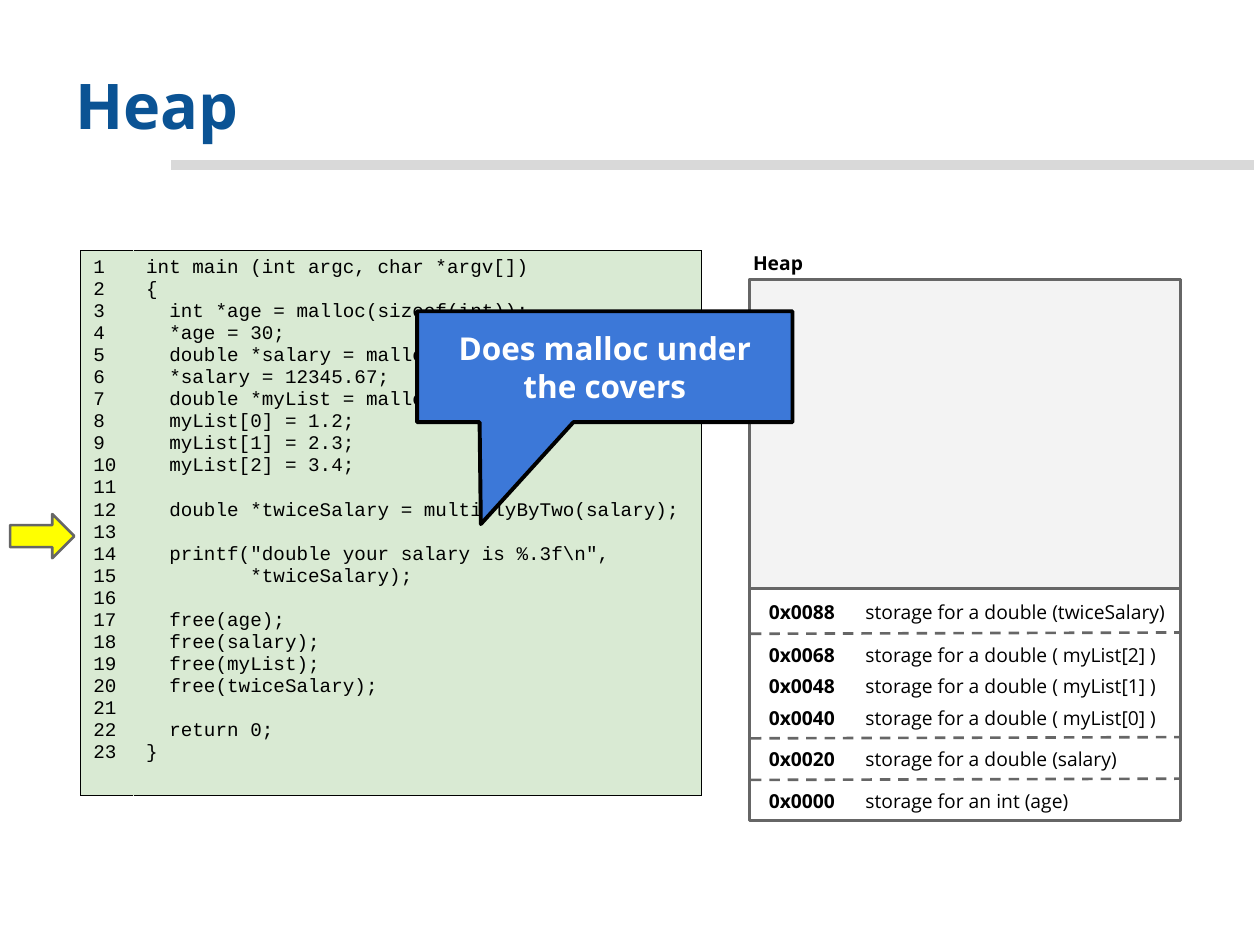
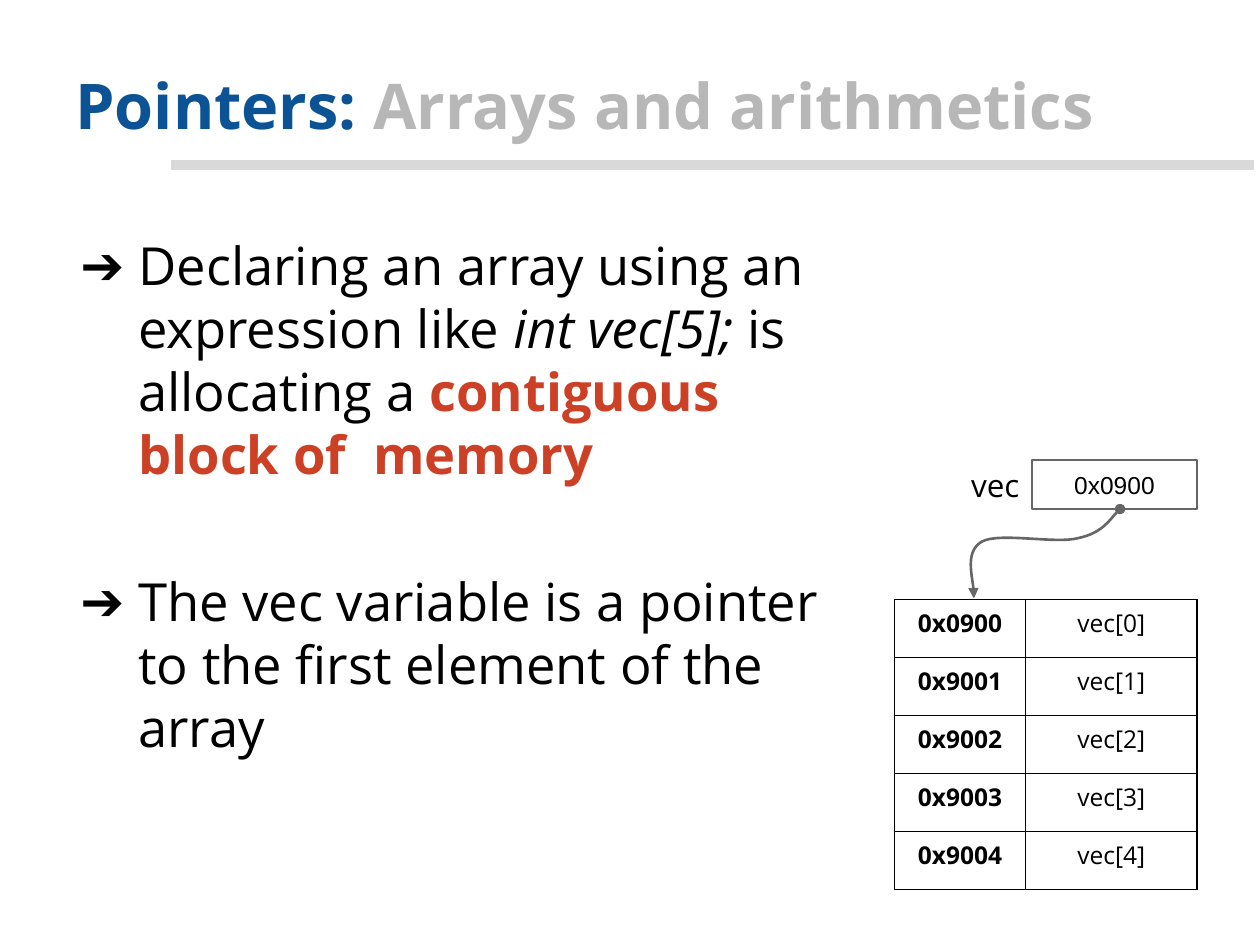
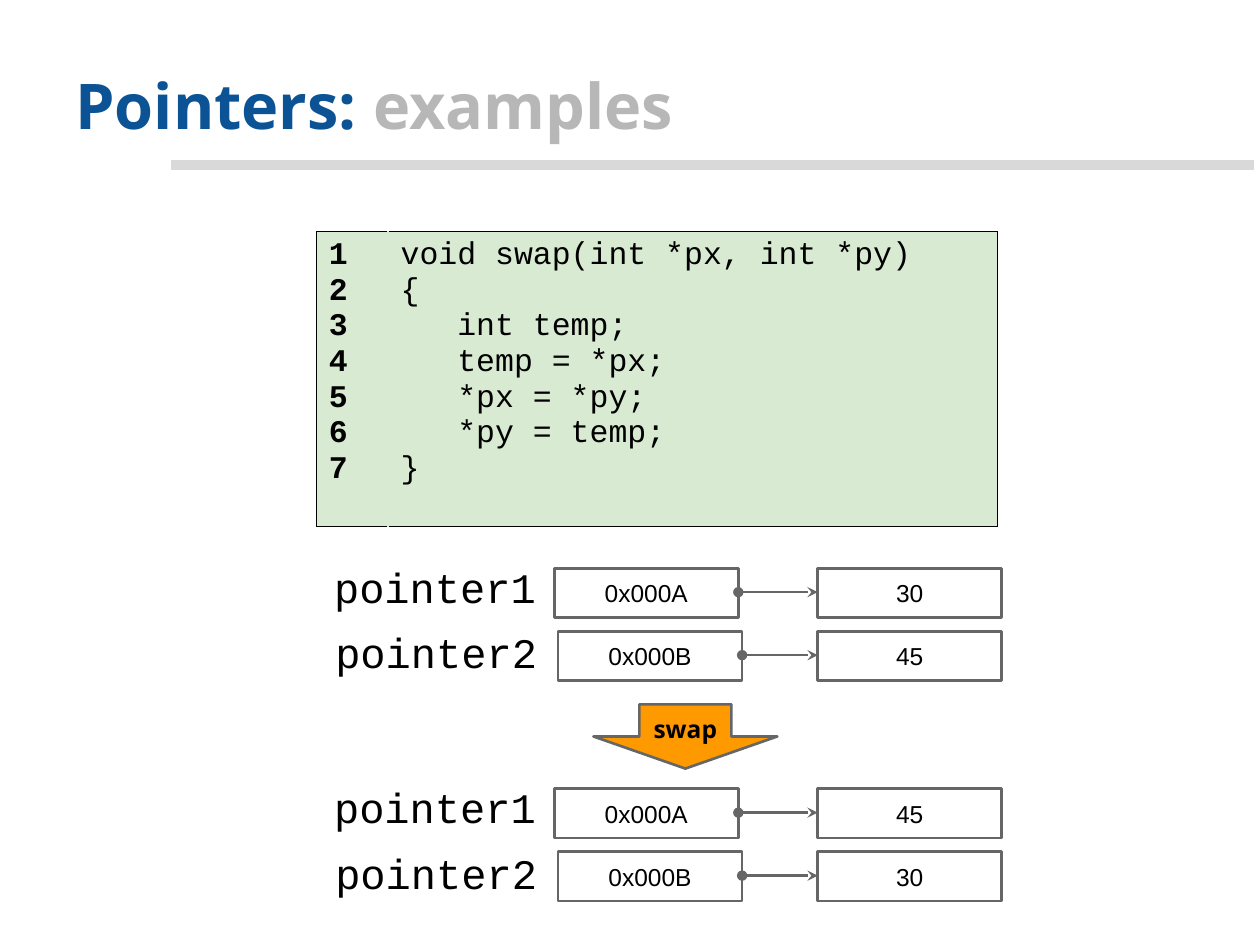
"""Build three slides on the heap, arrays and pointers in C."""
from copy import deepcopy

from lxml import etree
from pptx import Presentation
from pptx.dml.color import RGBColor
from pptx.enum.dml import MSO_LINE
from pptx.enum.shapes import MSO_CONNECTOR, MSO_SHAPE
from pptx.enum.text import MSO_ANCHOR, PP_ALIGN
from pptx.oxml.ns import qn
from pptx.util import Inches, Pt

LEFT, CENTER, RIGHT = PP_ALIGN.LEFT, PP_ALIGN.CENTER, PP_ALIGN.RIGHT
TOP, MIDDLE, BOTTOM = MSO_ANCHOR.TOP, MSO_ANCHOR.MIDDLE, MSO_ANCHOR.BOTTOM
STRAIGHT, CURVE = MSO_CONNECTOR.STRAIGHT, MSO_CONNECTOR.CURVE
DASH = MSO_LINE.DASH
RECTANGLE = MSO_SHAPE.RECTANGLE
RIGHT_ARROW, DOWN_ARROW = MSO_SHAPE.RIGHT_ARROW, MSO_SHAPE.DOWN_ARROW
CALLOUT = MSO_SHAPE.ROUNDED_RECTANGULAR_CALLOUT

COLORS = {
    "black": "000000", "white": "FFFFFF", "title": "0B5394", "subtitle": "B7B7B7",
    "band": "D9D9D9", "code": "D9EAD3", "outline": "666666", "free": "F3F3F3",
    "pointer": "FFFF00", "callout": "3C78D8", "accent": "CC4125", "swap": "FF9900",
}
SANS, MONO, PLAIN = "Open Sans", "Courier New", "Arial"
INSET = Inches(0.1)

HEAP_CODE = r"""int main (int argc, char *argv[])
{
  int *age = malloc(sizeof(int));
  *age = 30;
  double *salary = malloc(sizeof(double));
  *salary = 12345.67;
  double *myList = malloc(3 * sizeof(double));
  myList[0] = 1.2;
  myList[1] = 2.3;
  myList[2] = 3.4;

  double *twiceSalary = multiplyByTwo(salary);

  printf("double your salary is %.3f\n",
         *twiceSalary);

  free(age);
  free(salary);
  free(myList);
  free(twiceSalary);

  return 0;
}"""
SWAP_CODE = """void swap(int *px, int *py)
{
   int temp;
   temp = *px;
   *px = *py;
   *py = temp;
}"""
HEAP_ROWS = [
    (4.68, "0x0088", "storage for a double (twiceSalary)"),
    (5.02, "0x0068", "storage for a double ( myList[2] )"),
    (5.27, "0x0048", "storage for a double ( myList[1] )"),
    (5.52, "0x0040", "storage for a double ( myList[0] )"),
    (5.85, "0x0020", "storage for a double (salary)"),
    (6.18, "0x0000", "storage for an int (age)"),
]
HEAP_DIVIDERS = [5.02, 5.85, 6.18]
BULLETS = [
    [("Declaring an array using an expression like ", {}),
     ("int vec[5];", {"italic": True}),
     (" is allocating a ", {}),
     ("contiguous block of  memory", {"color": "accent", "bold": True})],
    [("The vec variable is a pointer to the first element of the array", {})],
]
VECTOR_ROWS = [("0x0900", "vec[0]"), ("0x9001", "vec[1]"), ("0x9002", "vec[2]"),
               ("0x9003", "vec[3]"), ("0x9004", "vec[4]")]
POINTERS = [("pointer1", "0x000A", 4.35, 4.4, 4.36), ("pointer2", "0x000B", 4.36, 4.43, 4.88)]
SWAP_STATES = [(0, ("30", "45")), (1.75, ("45", "30"))]


def rgb(name):
    return RGBColor.from_string(COLORS[name])


def add_run(paragraph, text, size, font=SANS, color="black", bold=False, italic=False):
    run = paragraph.add_run()
    run.text = text
    run.font.size = Pt(size)
    run.font.name = font
    run.font.bold = bold
    run.font.italic = italic
    run.font.color.rgb = rgb(color)
    return run


def prepare_frame(frame, anchor):
    frame.word_wrap = True
    frame.vertical_anchor = anchor
    frame.margin_left = frame.margin_right = INSET
    frame.margin_top = frame.margin_bottom = INSET


def add_text(slide, box, runs, align=LEFT, anchor=MIDDLE):
    frame = slide.shapes.add_textbox(*map(Inches, box)).text_frame
    prepare_frame(frame, anchor)
    paragraph = frame.paragraphs[0]
    paragraph.alignment = align
    for text, style in runs:
        add_run(paragraph, text, **style)


def add_box(slide, kind, box, fill, outline="outline", width=1.5, text="", **style):
    shape = slide.shapes.add_shape(kind, *map(Inches, box))
    shape.shadow.inherit = False
    shape.fill.solid()
    shape.fill.fore_color.rgb = rgb(fill)
    shape.line.color.rgb = rgb(outline)
    shape.line.width = Pt(width)
    if text:
        prepare_frame(shape.text_frame, MIDDLE)
        paragraph = shape.text_frame.paragraphs[0]
        paragraph.alignment = CENTER
        add_run(paragraph, text, **style)
    return shape


def add_value(slide, left, top, width, text):
    add_box(slide, RECTANGLE, (left, top, width, 0.39), "white", text=text, size=14, font=PLAIN)


def add_line(slide, start, end, kind=STRAIGHT, color="outline", width=1.5):
    line = slide.shapes.add_connector(kind, *map(Inches, start + end))
    line.line.color.rgb = rgb(color)
    line.line.width = Pt(width)
    etree.SubElement(line._element.spPr, qn("a:effectLst"))
    return line


def add_ends(shape, tail):
    outline = shape.line._get_or_add_ln()
    etree.SubElement(outline, qn("a:headEnd"), type="oval")
    etree.SubElement(outline, qn("a:tailEnd"), type=tail)


def style_cell(cell, borders, fill=None, anchor=TOP):
    prepare_frame(cell.text_frame, anchor)
    properties = cell._tc.get_or_add_tcPr()
    for side, color in zip("LRTB", borders):
        border = etree.SubElement(properties, qn(f"a:ln{side}"), w=str(Pt(0.75)))
        solid = etree.SubElement(border, qn("a:solidFill"))
        etree.SubElement(solid, qn("a:srgbClr"), val=COLORS[color])
    if fill:
        cell.fill.solid()
        cell.fill.fore_color.rgb = rgb(fill)
    else:
        cell.fill.background()


def add_table(slide, left, top, widths, row_height, row_count):
    box = (left, top, sum(widths), row_height * row_count)
    table = slide.shapes.add_table(row_count, len(widths), *map(Inches, box)).table
    table.first_row = table.horz_banding = False
    for column, width in zip(table.columns, widths):
        column.width = Inches(width)
    return table


def add_code(slide, left, top, widths, height, code, size, bold_numbers=False):
    lines = code.split("\n")
    numbers = [str(number) for number in range(1, len(lines) + 1)]
    table = add_table(slide, left, top, widths, height, 1)
    columns = [(numbers, bold_numbers, ("black", "code", "black", "black")),
               (lines, False, ("code", "black", "black", "black"))]
    for cell, (texts, bold, borders) in zip(table.rows[0].cells, columns):
        style_cell(cell, borders, "code")
        paragraph = cell.text_frame.paragraphs[0]
        for index, text in enumerate(texts):
            if index:
                paragraph.add_line_break()
                paragraph._p[-1].append(deepcopy(run._r.rPr))
            if text:
                run = add_run(paragraph, text, size, MONO, bold=bold)


def add_slide(presentation, title, subtitle=""):
    slide = presentation.slides.add_slide(presentation.slide_layouts[6])
    add_line(slide, (1.36, 1.31), (9.95, 1.31), color="band", width=6)
    runs = [(title, {"size": 36, "color": "title", "bold": True})]
    if subtitle:
        runs.append((subtitle, {"size": 36, "color": "subtitle", "bold": True}))
    add_text(slide, (0.5, 0.3, 9, 0.93), runs, anchor=BOTTOM)
    return slide


def build_heap(presentation):
    slide = add_slide(presentation, "Heap")
    add_code(slide, 0.64, 1.99, (0.42, 4.51), 4.23, HEAP_CODE, 11)
    label = {"size": 11, "bold": True}
    add_box(slide, RECTANGLE, (5.95, 2.22, 3.42, 4.29), "white")
    add_text(slide, (5.77, 1.91, 0.81, 0.35), [("Heap", label)], CENTER)
    add_box(slide, RIGHT_ARROW, (0.08, 4.08, 0.51, 0.35), "pointer")
    for top in HEAP_DIVIDERS:
        add_line(slide, (5.96, top + 0.01), (9.37, top)).line.dash_style = DASH
    add_box(slide, RECTANGLE, (5.95, 2.22, 3.42, 2.45), "free")
    for top, address, content in HEAP_ROWS:
        add_text(slide, (5.96, top, 0.81, 0.35), [(address, label)], CENTER)
        add_text(slide, (6.77, top, 2.61, 0.35), [(content, {"size": 11})])
    callout = add_box(slide, CALLOUT, (3.31, 2.47, 2.98, 0.88), "callout", "black", 2.25,
                      "Does malloc under the covers", size=18, color="white", bold=True)
    for index, value in enumerate((-0.33, 1.42, 0)):
        callout.adjustments[index] = value


def add_bullets(slide):
    frame = slide.shapes.add_textbox(*map(Inches, (0.5, 1.75, 6.34, 5.43))).text_frame
    prepare_frame(frame, TOP)
    for index, runs in enumerate(BULLETS):
        paragraph = frame.add_paragraph() if index else frame.paragraphs[0]
        properties = paragraph._p.get_or_add_pPr()
        properties.set("marL", str(Inches(0.5)))
        properties.set("indent", str(Inches(-0.46)))
        if index:
            paragraph.space_before = Pt(48)
        color = etree.SubElement(properties, qn("a:buClr"))
        etree.SubElement(color, qn("a:srgbClr"), val=COLORS["black"])
        etree.SubElement(properties, qn("a:buFont"), typeface=SANS)
        etree.SubElement(properties, qn("a:buChar"), char="➔")
        for text, style in runs:
            add_run(paragraph, text, 30, **style)


def build_arrays(presentation):
    slide = add_slide(presentation, "Pointers: ", "Arrays and arithmetics")
    add_bullets(slide)
    table = add_table(slide, 7.1, 4.76, (1.04, 1.36), 0.46, len(VECTOR_ROWS))
    for row, texts in zip(table.rows, VECTOR_ROWS):
        for index, (cell, text) in enumerate(zip(row.cells, texts)):
            style_cell(cell, ["black"] * 4, anchor=MIDDLE)
            paragraph = cell.text_frame.paragraphs[0]
            paragraph.alignment = CENTER
            add_run(paragraph, text, 14, bold=index == 0)
    add_text(slide, (6.76, 3.55, 1.43, 0.59), [("vec", {"size": 18})], RIGHT)
    add_value(slide, 8.19, 3.65, 1.31, "0x0900")
    add_vector_arrow(slide)


def add_vector_arrow(slide):
    start = (8.89, 4.04)
    curves = [[(8.84, 4.08), (8.75, 4.23), (8.56, 4.27)],
              [(8.38, 4.32), (7.93, 4.22), (7.79, 4.3)],
              [(7.66, 4.38), (7.74, 4.68), (7.73, 4.75)]]
    builder = slide.shapes.build_freeform(*map(Inches, start), scale=1.0)
    ends = [tuple(map(Inches, curve[-1])) for curve in curves]
    builder.add_line_segments(ends, close=False)
    arrow = builder.convert_to_shape()
    left, top = arrow.left, arrow.top
    segments = list(arrow._element.iter(qn("a:lnTo")))
    for segment, curve in zip(segments, curves):
        bezier = etree.Element(qn("a:cubicBezTo"))
        for x, y in curve:
            etree.SubElement(bezier, qn("a:pt"), x=str(Inches(x) - left), y=str(Inches(y) - top))
        segment.getparent().replace(segment, bezier)
    arrow.shadow.inherit = False
    arrow.fill.background()
    arrow.line.color.rgb = rgb("outline")
    arrow.line.width = Pt(1.5)
    add_ends(arrow, "triangle")


def build_swap(presentation):
    slide = add_slide(presentation, "Pointers: ", "examples")
    add_code(slide, 2.51, 1.84, (0.57, 4.84), 2.34, SWAP_CODE, 18, bold_numbers=True)
    for offset, values in SWAP_STATES:
        for index, (name, address, right, left, label_top) in enumerate(POINTERS):
            top = 4.51 + 0.5 * index + offset
            add_text(slide, (right - 2.23, label_top + offset, 2.23, 0.59),
                     [(name, {"size": 24, "font": MONO})], RIGHT)
            add_value(slide, left, top, 1.46, address)
            add_value(slide, 6.49, top, 1.46, values[index])
            arrow = add_line(slide, (left + 1.46, top + 0.19), (6.49, top + 0.19), CURVE)
            add_ends(arrow, "stealth")
    add_box(slide, DOWN_ARROW, (4.71, 5.59, 1.46, 0.51), "swap", text="swap", size=14, bold=True)


def main():
    presentation = Presentation()
    presentation.slide_width, presentation.slide_height = Inches(10), Inches(7.5)
    build_heap(presentation)
    build_arrays(presentation)
    build_swap(presentation)
    presentation.save("out.pptx")


if __name__ == "__main__":
    main()
